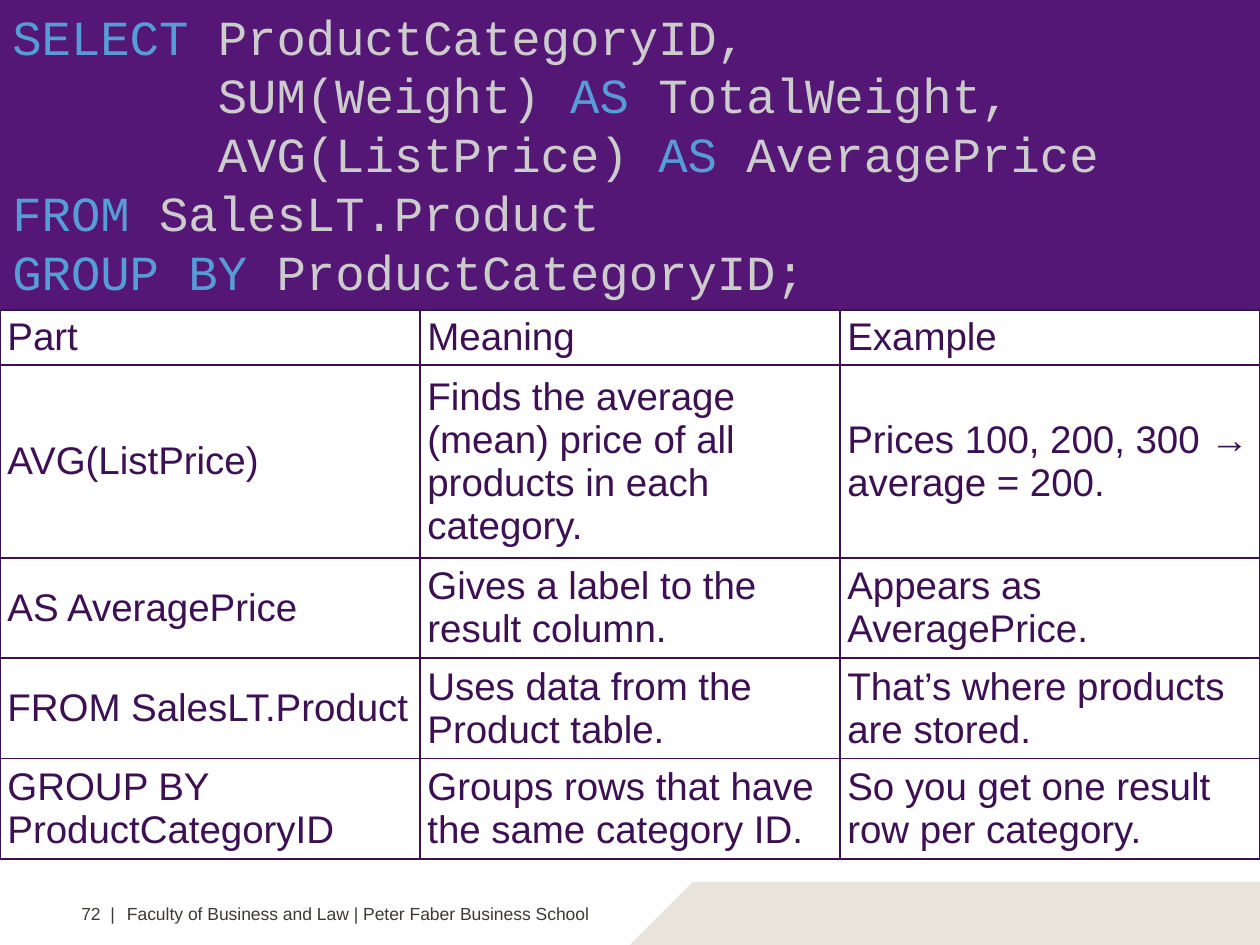
from dataclasses import dataclass

from lxml.etree import SubElement
from pptx import Presentation
from pptx.dml.color import RGBColor
from pptx.enum.shapes import MSO_SHAPE
from pptx.enum.text import MSO_ANCHOR, PP_ALIGN
from pptx.oxml.ns import qn
from pptx.util import Cm, Pt

WIDTH, HEIGHT = 25.4, 19.05
QUERY_HEIGHT = 6.25
PURPLE, DEEP_PURPLE, SAND, CHARCOAL = "551775", "3C1053", "E8E3DB", "3D3935"
KEYWORD, CODE = "569CD6", "CCCCCC"

INDENT = " " * len("SELECT ")
QUERY = [
    [("SELECT ", KEYWORD), ("ProductCategoryID,", CODE)],
    [(INDENT + "SUM(Weight) ", CODE), ("AS ", KEYWORD), ("TotalWeight,", CODE)],
    [(INDENT + "AVG(ListPrice) ", CODE), ("AS ", KEYWORD), ("AveragePrice", CODE)],
    [("FROM ", KEYWORD), ("SalesLT.Product", CODE)],
    [("GROUP BY ", KEYWORD), ("ProductCategoryID;", CODE)],
]


@dataclass
class Clause:
    syntax: str
    meaning: str
    example: str
    height: float


CLAUSES = [
    Clause("Part", "Meaning", "Example", 1.11),
    Clause("AVG(ListPrice)",
           "Finds the average (mean) price of all products in each category.",
           "Prices 100, 200, 300 → average = 200.", 3.87),
    Clause("AS AveragePrice", "Gives a label to the result column.",
           "Appears as AveragePrice.", 2.02),
    Clause("FROM SalesLT.Product", "Uses data from the Product table.",
           "That’s where products are stored.", 2.02),
    Clause("GROUP BY ProductCategoryID",
           "Groups rows that have the same category ID.",
           "So you get one result row per category.", 2.02),
]


@dataclass
class FooterText:
    text: str
    left: float
    width: float


FOOTER = [
    FooterText("Faculty of Business and Law | Peter Faber Business School", 2.31, 11.63),
    FooterText("72  |", 1.39, 1.24),
]


def color(hex_code: str) -> RGBColor:
    return RGBColor.from_string(hex_code)


def set_font(font, name: str, size: float, hex_code: str) -> None:
    font.name, font.size = name, Pt(size)
    font.color.rgb = color(hex_code)


def fill_plain(shape, hex_code: str) -> None:
    """Give a shape a solid fill with no outline or shadow."""
    shape.shadow.inherit = False
    shape.fill.solid()
    shape.fill.fore_color.rgb = color(hex_code)
    shape.line.fill.background()


def draw_footer(slide) -> None:
    slant = [(12.7, HEIGHT), (13.97, 17.78), (WIDTH, 17.78), (WIDTH, HEIGHT)]
    corners = [(Cm(x), Cm(y)) for x, y in slant]
    builder = slide.shapes.build_freeform(*corners[0])
    builder.add_line_segments(corners[1:], close=True)
    fill_plain(builder.convert_to_shape(), SAND)

    for item in FOOTER:
        box = slide.shapes.add_textbox(Cm(item.left), Cm(18.08), Cm(item.width), Cm(0.69))
        box.text_frame.word_wrap = True
        paragraph = box.text_frame.paragraphs[0]
        paragraph.text = item.text
        set_font(paragraph.font, "Arial", 10, CHARCOAL)


def draw_query(slide) -> None:
    panel = slide.shapes.add_shape(MSO_SHAPE.RECTANGLE, 0, 0, Cm(WIDTH), Cm(QUERY_HEIGHT))
    fill_plain(panel, PURPLE)
    frame = panel.text_frame
    frame.word_wrap = True
    frame.vertical_anchor = MSO_ANCHOR.TOP
    for number, line in enumerate(QUERY):
        paragraph = frame.add_paragraph() if number else frame.paragraphs[0]
        paragraph.alignment = PP_ALIGN.LEFT
        for text, hex_code in line:
            run = paragraph.add_run()
            run.text = text
            set_font(run.font, "Courier New", 28, hex_code)


def add_borders(cell, hex_code: str) -> None:
    properties = cell._tc.get_or_add_tcPr()
    for position, side in enumerate(("lnL", "lnR", "lnT", "lnB")):
        border = properties.makeelement(qn(f"a:{side}"), {"w": str(Pt(1))})
        solid = SubElement(border, qn("a:solidFill"))
        SubElement(solid, qn("a:srgbClr"), val=hex_code)
        properties.insert(position, border)


def fill_cell(cell, text: str) -> None:
    cell.fill.background()
    cell.vertical_anchor = MSO_ANCHOR.MIDDLE
    cell.margin_left = cell.margin_right = Cm(0.15)
    cell.margin_top = cell.margin_bottom = Cm(0.08)
    paragraph = cell.text_frame.paragraphs[0]
    paragraph.text = text
    set_font(paragraph.font, "Arial", 22, DEEP_PURPLE)
    add_borders(cell, DEEP_PURPLE)


def draw_clauses(slide) -> None:
    total_height = sum(clause.height for clause in CLAUSES)
    table = slide.shapes.add_table(
        len(CLAUSES), 3, 0, Cm(QUERY_HEIGHT), Cm(WIDTH), Cm(total_height)).table
    table.first_row = table.horz_banding = False
    for row, clause in zip(table.rows, CLAUSES):
        row.height = Cm(clause.height)
        for cell, text in zip(row.cells, (clause.syntax, clause.meaning, clause.example)):
            fill_cell(cell, text)


def main() -> None:
    deck = Presentation()
    deck.slide_width, deck.slide_height = Cm(WIDTH), Cm(HEIGHT)
    slide = deck.slides.add_slide(deck.slide_layouts[6])
    draw_footer(slide)
    draw_query(slide)
    draw_clauses(slide)
    deck.save("out.pptx")


if __name__ == "__main__":
    main()
